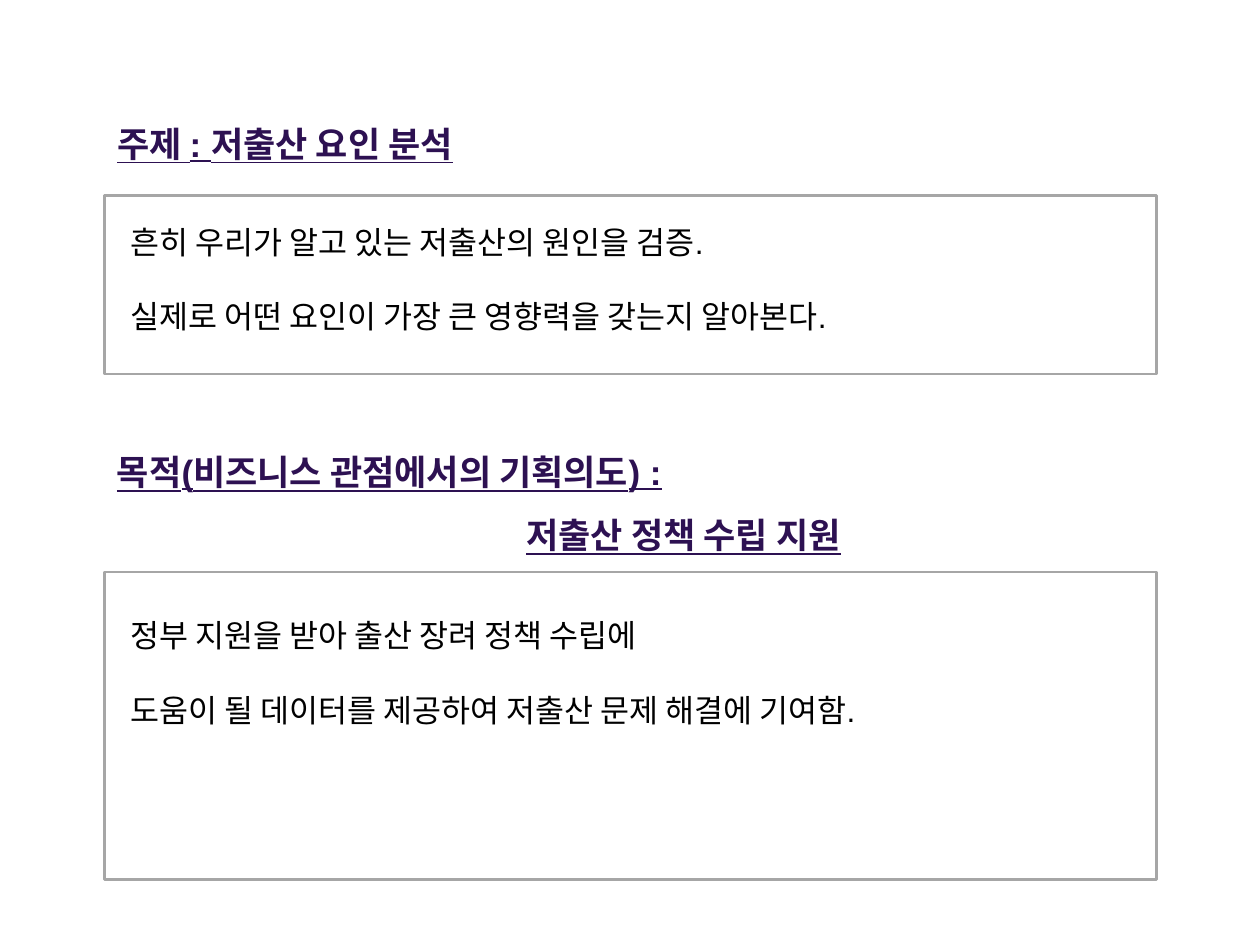
from pptx import Presentation
from pptx.dml.color import RGBColor
from pptx.enum.shapes import MSO_SHAPE
from pptx.enum.text import MSO_ANCHOR, MSO_AUTO_SIZE, PP_ALIGN
from pptx.util import Inches, Pt

RECTANGLE = MSO_SHAPE.RECTANGLE
TOP = MSO_ANCHOR.TOP
NO_AUTOFIT = MSO_AUTO_SIZE.NONE
LEFT = PP_ALIGN.LEFT

PURPLE = RGBColor(0x2D, 0x11, 0x52)
BLACK = RGBColor(0x00, 0x00, 0x00)
GRAY = RGBColor(0xA6, 0xA6, 0xA6)
FONT = "Arial"
MARGIN = Inches(0.83)
FRAME_WIDTH = Inches(8.35)


def prepare_text(box):
    frame = box.text_frame
    frame.word_wrap = True
    frame.auto_size = NO_AUTOFIT
    frame.vertical_anchor = TOP
    return frame


def add_line(frame, index, text, size, color, heading=False):
    para = frame.add_paragraph() if index else frame.paragraphs[0]
    para.alignment = LEFT
    span = para.add_run()
    span.text = text
    span.font.name = FONT
    span.font.size = Pt(size)
    span.font.color.rgb = color
    span.font.bold = heading
    span.font.underline = heading
    return para


def add_topic_title(page, left, top, width, height):
    title = page.shapes.title
    title.left, title.top, title.width, title.height = left, top, width, height
    add_line(prepare_text(title), 0, "주제 : 저출산 요인 분석", 20, PURPLE, True)


def add_purpose_heading(page, left, top, width, height):
    frame = prepare_text(page.shapes.add_textbox(left, top, width, height))
    lines = ["목적(비즈니스 관점에서의 기획의도) :", "저출산 정책 수립 지원"]
    for index, text in enumerate(lines):
        para = add_line(frame, index, text, 20, PURPLE, True)
        para.line_spacing = 1.5
    para._p.get_or_add_pPr().set("marL", str(Inches(3.25)))


def add_framed_text(page, left, top, width, height, text_offset, lines):
    box = page.shapes.add_shape(RECTANGLE, left, top, width, height)
    box.shadow.inherit = False
    box.fill.background()
    box.line.color.rgb = GRAY
    box.line.width = Pt(1.5)

    text_box = page.shapes.add_textbox(
        left + Inches(0.11), top + text_offset,
        width - Inches(0.22), height - text_offset)
    frame = prepare_text(text_box)
    for index, text in enumerate(lines):
        para = add_line(frame, index, text, 18, BLACK)
        if index:
            para.space_before = Pt(21)


def main():
    deck = Presentation()
    deck.slide_width = Inches(10)
    deck.slide_height = Inches(7.5)
    page = deck.slides.add_slide(deck.slide_layouts[5])

    add_topic_title(page, MARGIN, Inches(0.92), Inches(7.22), Inches(0.44))
    add_framed_text(
        page, MARGIN, Inches(1.55), FRAME_WIDTH, Inches(1.42), Inches(0.17),
        ["흔히 우리가 알고 있는 저출산의 원인을 검증.",
         "실제로 어떤 요인이 가장 큰 영향력을 갖는지 알아본다."])
    add_purpose_heading(page, MARGIN, Inches(3.36), FRAME_WIDTH, Inches(1.54))
    add_framed_text(
        page, MARGIN, Inches(4.54), FRAME_WIDTH, Inches(2.44), Inches(0.3),
        ["정부 지원을 받아 출산 장려 정책 수립에",
         "도움이 될 데이터를 제공하여 저출산 문제 해결에 기여함."])
    deck.save("out.pptx")


if __name__ == "__main__":
    main()
